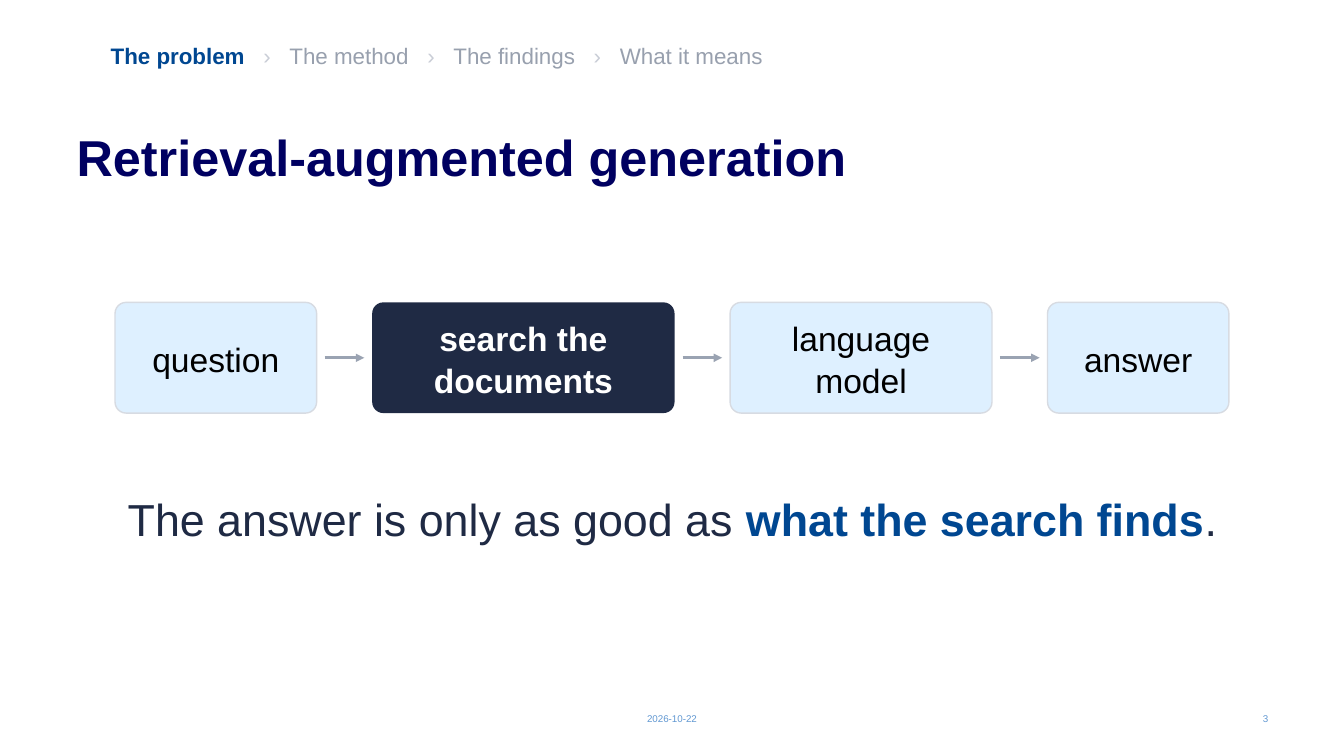
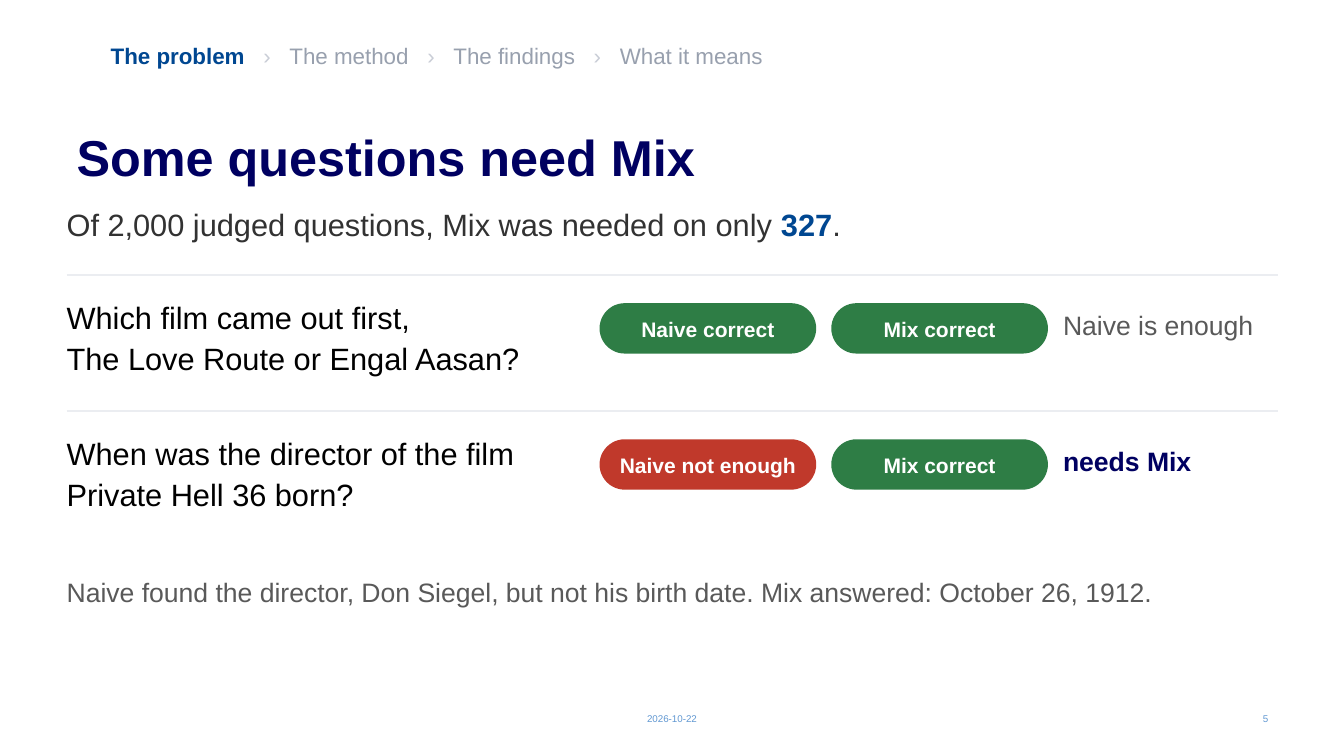
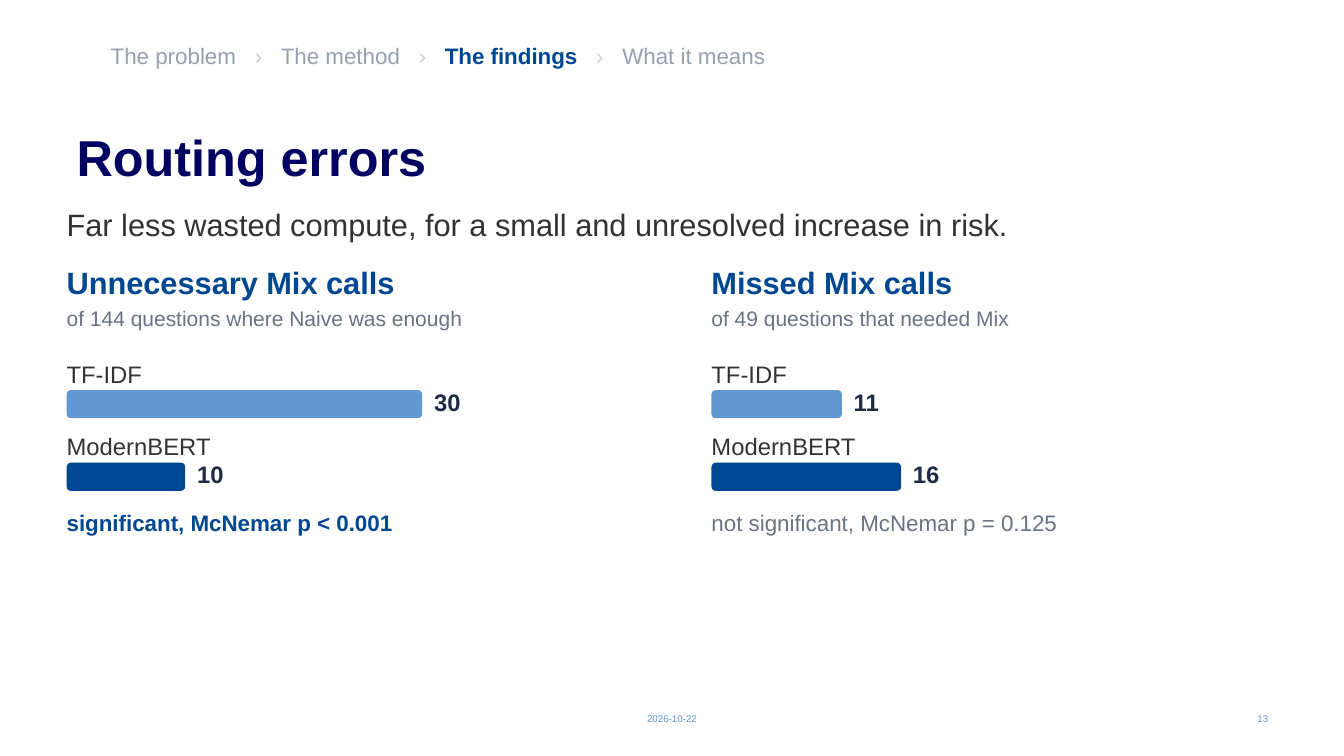
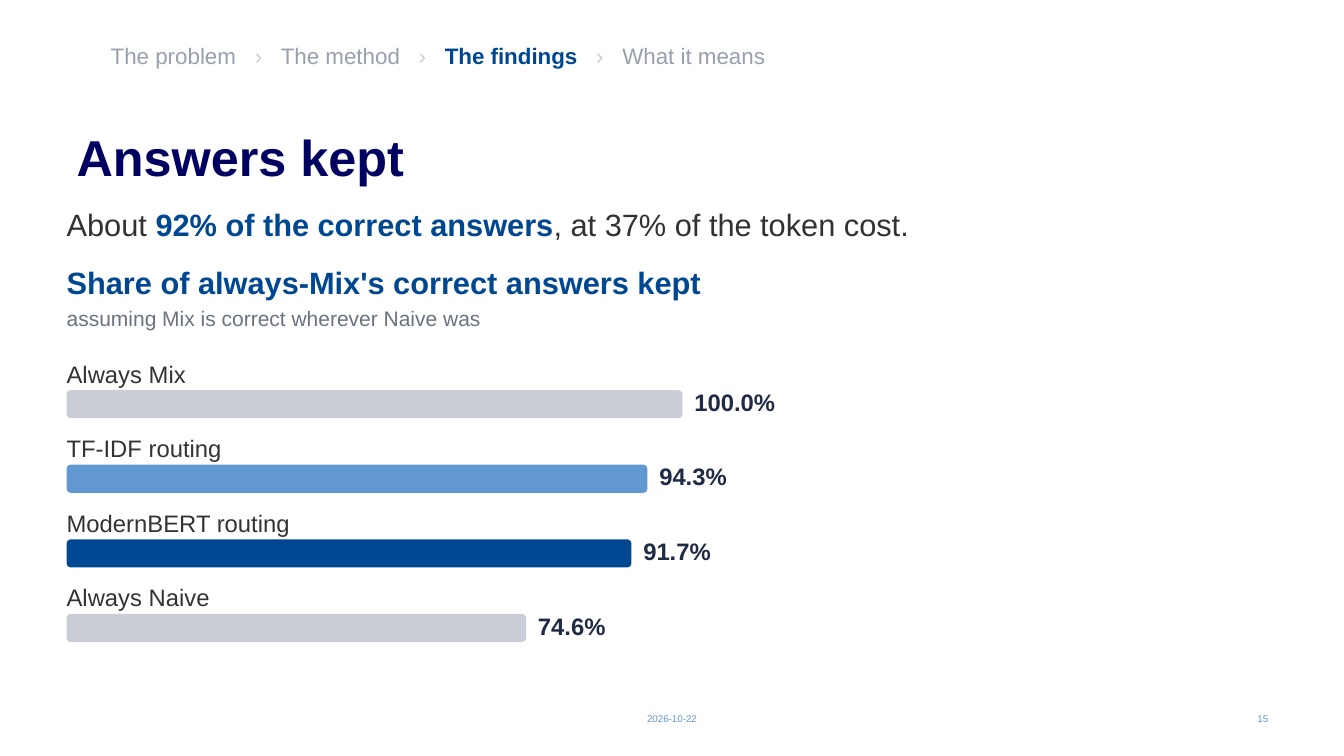
from dataclasses import dataclass
from typing import NamedTuple

from lxml import etree
from pptx import Presentation
from pptx import util as u
from pptx.dml import color as dml
from pptx.enum import shapes, text
from pptx.oxml import ns
from pptx.slide import Slide
from pptx.text.text import TextFrame

# Shared look
FONT = "Arial"
NAVY, BLUE, SKY, PALE = "000061", "004791", "6298D2", "DEF0FF"
INK, BODY, LABEL, BLACK, WHITE = "1F2A44", "323232", "333333", "000000", "FFFFFF"
MUTED, SLATE, FADED, SILVER = "595959", "6B7280", "98A0AE", "C9CDD6"
EDGE, RULE, ARROW, FOOT = "D7DBE2", "EBEDF1", "9AA3B2", "6198D2"
GREEN, RED = "2E7D45", "C0392B"
LEFT, CENTER, RIGHT = text.PP_ALIGN.LEFT, text.PP_ALIGN.CENTER, text.PP_ALIGN.RIGHT

# Shared measures in centimetres
PAGE_W, PAGE_H = 33.87, 19.05
EDGE_X, FULL_W = 1.68, 30.53

DATE = "2026-10-22"
STEPS = ("The problem", "The method", "The findings", "What it means")


class Span(NamedTuple):
    text: str
    color: str
    bold: bool = False
    gap: float = 0  # extra letter spacing in points


class Area(NamedTuple):
    x: float
    y: float
    w: float
    h: float


class Node(NamedTuple):
    label: str
    width: float
    strong: bool = False


class Case(NamedTuple):
    query: str
    pills: tuple[tuple[str, str], ...]
    verdict: Span


class Bar(NamedTuple):
    name: str
    value: float
    color: str


@dataclass
class Graph:
    x: float
    width: float
    head: str
    sub: str
    bars: tuple[Bar, ...]
    peak: float  # value drawn at full span
    span: float
    step: float
    form: str = "{}"
    note: Span | None = None


# Helpers
def paint(code: str) -> dml.RGBColor:
    return dml.RGBColor.from_string(code)


def write(frame: TextFrame, spans: tuple[Span, ...], size: float,
          align=LEFT, lead: float = 1.05, after: float = 0) -> None:
    para = frame.paragraphs[0]
    first, *rest = spans
    para.text = first.text
    pairs = [(run, first) for run in para.runs]
    for span in rest:
        run = para.add_run()
        run.text = span.text
        pairs.append((run, span))
    para.alignment, para.line_spacing = align, lead
    para.space_after = u.Pt(after)
    for run, span in pairs:
        font = run.font
        font.name, font.size, font.bold = FONT, u.Pt(size), span.bold
        font.color.rgb = paint(span.color)
        if span.gap:
            run._r.get_or_add_rPr().set("spc", str(round(span.gap * 100)))


def fit(frame: TextFrame, pad_x: float, pad_y: float, middle: bool) -> None:
    frame.word_wrap = True
    frame.margin_left = frame.margin_right = u.Cm(pad_x)
    frame.margin_top = frame.margin_bottom = u.Cm(pad_y)
    frame.vertical_anchor = text.MSO_ANCHOR.MIDDLE if middle else text.MSO_ANCHOR.TOP


def add_text(slide: Slide, area: Area, spans: tuple[Span, ...], size: float,
             align=LEFT, lead: float = 1.05, after: float = 6,
             pad_x: float = 0, pad_y: float = 0, middle: bool = False) -> None:
    frame = slide.shapes.add_textbox(*map(u.Cm, area)).text_frame
    fit(frame, pad_x, pad_y, middle)
    write(frame, spans, size, align, lead, after)


def add_block(slide: Slide, area: Area, fill: str, curve: float, edge: str = "",
              span: Span | None = None, size: float = 15, pad: float = 0) -> None:
    block = slide.shapes.add_shape(shapes.MSO_SHAPE.ROUNDED_RECTANGLE, *map(u.Cm, area))
    block.adjustments[0] = curve
    block.shadow.inherit = False
    block.fill.solid()
    block.fill.fore_color.rgb = paint(fill)
    if edge:
        block.line.color.rgb = paint(edge)
        block.line.width = u.Pt(1)
    else:
        block.line.fill.background()
    if span:
        fit(block.text_frame, pad, pad, True)
        write(block.text_frame, (span,), size, CENTER)


def add_line(slide: Slide, x: float, y: float, end: float, color: str,
             width: float, arrow: bool = False) -> None:
    line = slide.shapes.add_connector(
        shapes.MSO_CONNECTOR.STRAIGHT, u.Cm(x), u.Cm(y), u.Cm(end), u.Cm(y))
    line.line.color.rgb = paint(color)
    line.line.width = u.Pt(width)
    props = line._element.spPr
    if arrow:
        stroke = props.find(ns.qn("a:ln"))
        etree.SubElement(stroke, ns.qn("a:tailEnd"), type="triangle")
    etree.SubElement(props, ns.qn("a:effectLst"))


# Frame of every slide: title, trail of steps, date and number
def add_slide(deck, title: str, now: int, number: int) -> Slide:
    slide = deck.slides.add_slide(deck.slide_layouts[6])
    add_text(slide, Area(EDGE_X, 3.05, FULL_W, 1.57), (Span(title, NAVY, True),),
             36, lead=0.9, after=0, pad_x=0.25, pad_y=0.3)
    trail = []
    for spot, step in enumerate(STEPS):
        if spot:
            space = Span(" ", SILVER, gap=8.9)
            trail += [space, Span("›", SILVER), space]
        trail.append(Span(step, BLUE, True) if spot == now else Span(step, FADED))
    add_text(slide, Area(2.79, 1.02, 27.94, 0.97), tuple(trail), 16)
    for x, width, words, align in (((PAGE_W - 11.43) / 2, 11.43, DATE, CENTER),
                                   (EDGE_X + FULL_W - 7.62, 7.62, str(number), RIGHT)):
        add_text(slide, Area(x, 17.98, width, 0.28), (Span(words, FOOT),), 7,
                 align, lead=1, after=0, pad_x=0.25, middle=True)
    return slide


def add_lead(slide: Slide, *spans: Span) -> None:
    add_text(slide, Area(EDGE_X, 5.13, FULL_W, 1.27), spans, 22)


# Row of boxes joined by arrows
def add_chain(slide: Slide, nodes: tuple[Node, ...]) -> None:
    top, height, gap, inset = 7.62, 2.79, 1.4, 0.2
    total = sum(node.width for node in nodes) + gap * (len(nodes) - 1)
    x = (PAGE_W - total) / 2
    for spot, node in enumerate(nodes):
        if spot:
            add_line(slide, x - gap + inset, top + height / 2, x - inset,
                     ARROW, 2, arrow=True)
        add_block(slide, Area(x, top, node.width, height),
                  INK if node.strong else PALE, 0.1, "" if node.strong else EDGE,
                  Span(node.label, WHITE if node.strong else BLACK, node.strong), 24, 0.3)
        x += node.width + gap


# Ruled row: query, two pills, verdict
def add_case(slide: Slide, y: float, case: Case) -> None:
    start, step = 15.11, 5.84
    add_line(slide, EDGE_X, y, EDGE_X + FULL_W, RULE, 1)
    add_text(slide, Area(EDGE_X, y + 0.51, 13.4, 2.54), (Span(case.query, BLACK),),
             22, lead=1.1)
    for spot, (label, fill) in enumerate(case.pills):
        add_block(slide, Area(start + spot * step, y + 0.71, 5.46, 1.27), fill, 0.5,
                  span=Span(label, WHITE, True), pad=0.05)
    add_text(slide, Area(start + len(case.pills) * step, y + 0.81, 5.41, 1.14),
             (case.verdict,), 19)


# Headed group of bars drawn to scale
def add_graph(slide: Slide, graph: Graph) -> None:
    x, width = graph.x, graph.width
    add_text(slide, Area(x, 6.6, width, 1.07), (Span(graph.head, BLUE, True),), 22)
    add_text(slide, Area(x, 7.67, width, 0.81), (Span(graph.sub, SLATE),), 15)
    for spot, bar in enumerate(graph.bars):
        y = 9.02 + spot * graph.step
        length = graph.span * bar.value / graph.peak
        add_text(slide, Area(x, y, width, 0.76), (Span(bar.name, LABEL),), 17)
        add_block(slide, Area(x, y + 0.81, length, 0.71), bar.color, 0.15)
        add_text(slide, Area(x + length + 0.3, y + 0.71, 3.81, 0.86),
                 (Span(graph.form.format(bar.value), INK, True),), 17)
    if graph.note:
        add_text(slide, Area(x, 12.8, width, 0.89), (graph.note,), 16)


# Content
NODES = (Node("question", 5.08), Node("search the documents", 7.62, True),
         Node("language model", 6.6), Node("answer", 4.57))

CASES = (
    Case("Which film came out first,\vThe Love Route or Engal Aasan?",
         (("Naive correct", GREEN), ("Mix correct", GREEN)),
         Span("Naive is enough", MUTED)),
    Case("When was the director of the film\vPrivate Hell 36 born?",
         (("Naive not enough", RED), ("Mix correct", GREEN)),
         Span("needs Mix", NAVY, True)),
)

ERRORS = (
    Graph(EDGE_X, 14.22, "Unnecessary Mix calls",
          "of 144 questions where Naive was enough",
          (Bar("TF-IDF", 30, SKY), Bar("ModernBERT", 10, BLUE)), 30, 8.96, 1.83,
          note=Span("significant, McNemar p < 0.001", BLUE, True)),
    Graph(17.93, 14.22, "Missed Mix calls", "of 49 questions that needed Mix",
          (Bar("TF-IDF", 11, SKY), Bar("ModernBERT", 16, BLUE)), 30, 8.96, 1.83,
          note=Span("not significant, McNemar p = 0.125", SLATE)),
)

SHARES = Graph(
    EDGE_X, 20.83, "Share of always-Mix's correct answers kept",
    "assuming Mix is correct wherever Naive was",
    (Bar("Always Mix", 100, SILVER), Bar("TF-IDF routing", 94.3, SKY),
     Bar("ModernBERT routing", 91.7, BLUE), Bar("Always Naive", 74.6, SILVER)),
    100, 15.52, 1.88, "{:.1f}%")


def main() -> None:
    deck = Presentation()
    deck.slide_width, deck.slide_height = u.Cm(PAGE_W), u.Cm(PAGE_H)

    # Retrieval chain
    slide = add_slide(deck, "Retrieval-augmented generation", 0, 3)
    add_chain(slide, NODES)
    add_text(slide, Area(EDGE_X, 12.32, FULL_W, 1.78),
             (Span("The answer is only as good as ", INK),
              Span("what the search finds", BLUE, True), Span(".", INK)), 32, CENTER)

    # Sample questions
    slide = add_slide(deck, "Some questions need Mix", 0, 5)
    add_lead(slide, Span("Of 2,000 judged questions, Mix was needed on only ", BODY),
             Span("327", BLUE, True), Span(".", BODY))
    for spot, case in enumerate(CASES):
        add_case(slide, 6.93 + spot * 3.43, case)
    add_text(slide, Area(EDGE_X, 14.48, FULL_W, 2.03),
             (Span("Naive found the director, Don Siegel, but not his birth date. "
                   "Mix answered: October 26, 1912.", MUTED),), 19)

    # Error counts
    slide = add_slide(deck, "Routing errors", 2, 13)
    add_lead(slide, Span("Far less wasted compute, for a small and unresolved "
                         "increase in risk.", BODY))
    for graph in ERRORS:
        add_graph(slide, graph)

    # Answer shares
    slide = add_slide(deck, "Answers kept", 2, 15)
    add_lead(slide, Span("About ", BODY), Span("92% of the correct answers", BLUE, True),
             Span(", at 37% of the token cost.", BODY))
    add_graph(slide, SHARES)

    deck.save("out.pptx")


if __name__ == "__main__":
    main()
